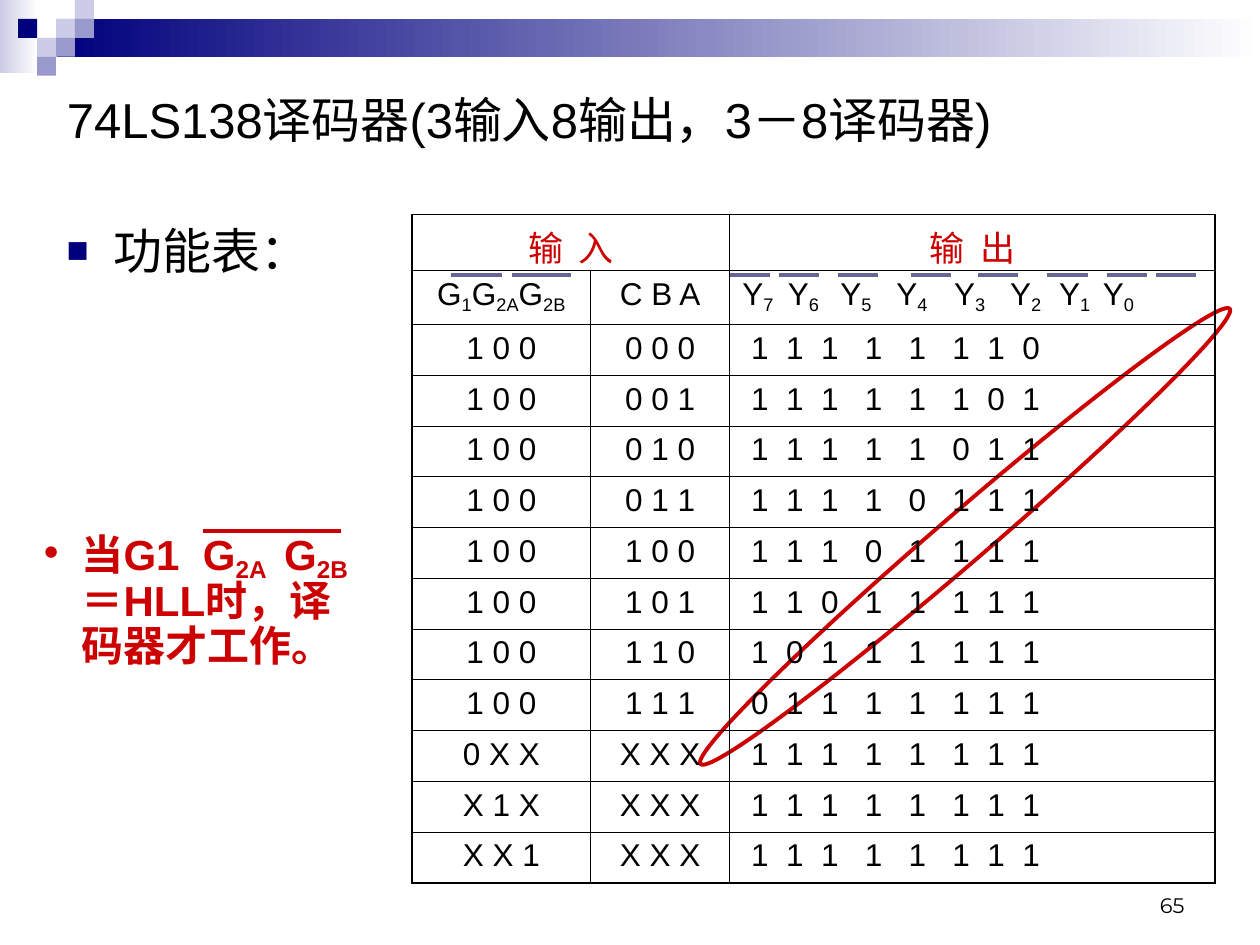
from lxml import etree
from pptx import Presentation
from pptx.dml.color import RGBColor
from pptx.enum.shapes import MSO_CONNECTOR, MSO_SHAPE
from pptx.enum.text import MSO_ANCHOR, PP_ALIGN
from pptx.oxml.ns import qn
from pptx.util import Pt

STRAIGHT = MSO_CONNECTOR.STRAIGHT
RECTANGLE, OVAL = MSO_SHAPE.RECTANGLE, MSO_SHAPE.OVAL
MIDDLE, BOTTOM = MSO_ANCHOR.MIDDLE, MSO_ANCHOR.BOTTOM
LEFT, CENTER, RIGHT = PP_ALIGN.LEFT, PP_ALIGN.CENTER, PP_ALIGN.RIGHT
BLACK, RED, NAVY, SLATE = "000000", "CC0000", "00007D", "666699"
PALE, LILAC, WHITE = "CCCCE6", "9999CC", "FFFFFF"
THIN, THICK = 0.45, 1.08
SIGNAL_TABS = [26, 56, 88, 121, 153, 181, 206]
LEVEL_TABS = [5, 25, 45, 70, 95, 120, 140, 160]


def color(value):
    return RGBColor.from_string(value)


def add_xml(parent, tag, **attributes):
    return etree.SubElement(parent, qn(tag), attributes)


def set_font(font, size, value=BLACK, name="Arial", bold=False):
    font.size, font.name, font.bold = Pt(size), name, bold
    font.color.rgb = color(value)


def add_spans(para, parts):
    for index, text in enumerate(parts):
        span = para.add_run()
        span.text = text
        if index % 2:
            span._r.get_or_add_rPr().set("baseline", "-20000")


def add_bullet(para, char, value, percent, indent):
    properties = para._p.get_or_add_pPr()
    properties.set("marL", str(Pt(indent)))
    properties.set("indent", str(-Pt(indent)))
    add_xml(add_xml(properties, "a:buClr"), "a:srgbClr", val=value)
    add_xml(properties, "a:buSzPct", val=str(percent * 1000))
    add_xml(properties, "a:buFont", typeface="Arial")
    add_xml(properties, "a:buChar", char=char)


def add_tabs(para, stops):
    tabs = add_xml(para._p.get_or_add_pPr(), "a:tabLst")
    for stop in stops:
        add_xml(tabs, "a:tab", pos=str(Pt(stop)), algn="l")


def add_block(page, left, top, width, height, fill, fade=None):
    block = page.shapes.add_shape(RECTANGLE, Pt(left), Pt(top), Pt(width), Pt(height))
    block.shadow.inherit = False
    block.line.fill.background()
    if fade:
        block.fill.gradient()
        block.fill.gradient_angle = 0
        for stop, value in zip(block.fill.gradient_stops, (fill, fade)):
            stop.color.rgb = color(value)
    else:
        block.fill.solid()
        block.fill.fore_color.rgb = color(fill)


def add_overbar(page, left, top, width, value):
    bar = page.shapes.add_connector(STRAIGHT, Pt(left), Pt(top), Pt(left + width), Pt(top))
    bar.line.color.rgb = color(value)
    bar.line.width = Pt(2.25)
    add_xml(bar._element.spPr, "a:effectLst")


def add_text_box(page, left, top, width, height):
    box = page.shapes.add_textbox(Pt(left), Pt(top), Pt(width), Pt(height))
    box.text_frame.word_wrap = True
    return box.text_frame


def add_banner(page, left, top, width):
    unit = 10.8
    add_block(page, left, top, 22, 42, PALE, WHITE)
    add_block(page, left + 3 * unit, top + unit, width - 3 * unit, 2 * unit, NAVY, WHITE)
    squares = [(2, 1, PALE), (3, 0, PALE), (3, 1, LILAC), (1, 2, PALE),
               (0, 1, NAVY), (2, 2, LILAC), (1, 3, LILAC)]
    for column, row, fill in squares:
        add_block(page, left + 10.4 + column * unit, top + row * unit, unit, unit, fill)


def add_title(page, left, top, width, height):
    title = page.shapes.title
    title.left, title.top, title.width, title.height = Pt(left), Pt(top), Pt(width), Pt(height)
    title.text_frame.vertical_anchor = MIDDLE
    title.text_frame.text = "74LS138译码器(3输入8输出，3－8译码器)"
    para = title.text_frame.paragraphs[0]
    para.alignment = LEFT
    set_font(para.font, 28)


def add_heading(page, left, top, width, height):
    para = add_text_box(page, left, top, width, height).paragraphs[0]
    para.text = "功能表："
    para.space_before = Pt(7)
    add_bullet(para, "■", NAVY, 75, 27)
    set_font(para.font, 28)


def add_note(page, left, top, width, height):
    for offset in (91, 130):
        add_overbar(page, left + offset, top + 4, 40, RED)
    frame = add_text_box(page, left, top, width, height)
    frame.margin_left = frame.margin_right = 0
    para = frame.paragraphs[0]
    add_spans(para, ["当G1  G", "2A ", " G", "2B", "＝HLL时，译码器才工作。"])
    para.line_spacing = 0.9
    para.space_after = Pt(7)
    add_bullet(para, "•", RED, 100, 21.6)
    set_font(para.font, 24, RED, bold=True)


def fill_cell(cell, parts, borders, size=18, value=BLACK, tabs=None):
    properties = cell._tc.get_or_add_tcPr()
    for side, width in zip("LRTB", borders):
        line = add_xml(properties, "a:ln" + side, w=str(Pt(width)))
        add_xml(add_xml(line, "a:solidFill"), "a:srgbClr", val=BLACK)
    cell.fill.background()
    para = cell.text_frame.paragraphs[0]
    add_spans(para, parts)
    para.alignment = LEFT if tabs else CENTER
    para.space_before = Pt(size / 4)
    if tabs:
        add_tabs(para, tabs)
    set_font(para.font, size, value)


def truth_rows():
    for code in range(11):
        levels = ["0" if bit == code else "1" for bit in range(7, -1, -1)]
        enable = "1 0 0" if code < 8 else ("0 X X", "X 1 X", "X X 1")[code - 8]
        select = " ".join(f"{code:03b}") if code < 8 else "X X X"
        yield [[enable], [select], ["\t" + "\t".join(levels)]]


def add_function_table(page, left, top, width, height):
    signals = ["Y", "7"]
    for number in range(6, -1, -1):
        signals += ["\tY", str(number)]
    rows = [[["输  入"], [], ["输  出"]],
            [["G", "1", "G", "2A", "G", "2B"], ["C B A"], signals], *truth_rows()]
    table = page.shapes.add_table(len(rows), 3, Pt(left), Pt(top), Pt(width), Pt(height)).table
    table.first_row = table.horz_banding = False
    for column, share in zip(table.columns, (102, 79.5, width - 181.5)):
        column.width = Pt(share)
    table.cell(0, 0).merge(table.cell(0, 1))
    last = len(rows) - 1
    for index, row in enumerate(rows):
        table.rows[index].height = Pt({0: 32, 1: 31}.get(index, 29))
        for place, parts in enumerate(row):
            borders = [THICK if edge else THIN for edge in
                       (place == 0, place == 2, index in (0, 10), index in (9, last))]
            if index == 0:
                fill_cell(table.cell(index, place), parts, borders, 20, RED)
            else:
                stops = SIGNAL_TABS if index == 1 else LEVEL_TABS
                fill_cell(table.cell(index, place), parts, borders,
                          tabs=stops if place == 2 else None)
    for offset, length in ((22.5, 29), (57, 34)):
        add_overbar(page, left + offset, top + 34.5, length, SLATE)
    for offset in (181.5, 209.5, 243.5, 285, 323.5, 363, 397, 425):
        add_overbar(page, left + offset, top + 34.5, 23, SLATE)


def add_diagonal_ring(page, left, top, width, height):
    ring = page.shapes.add_shape(OVAL, Pt(left), Pt(top), Pt(width), Pt(height))
    ring.shadow.inherit = False
    ring.rotation = 319.3
    ring.fill.background()
    ring.line.color.rgb = color(RED)
    ring.line.width = Pt(2.25)


def add_page_number(page, left, top, width, height):
    frame = add_text_box(page, left, top, width, height)
    frame.vertical_anchor = BOTTOM
    para = frame.paragraphs[0]
    para.text = "65"
    para.alignment = RIGHT
    set_font(para.font, 12, name="Montserrat")


deck = Presentation()
deck.slide_width, deck.slide_height = Pt(720), Pt(540)
page = deck.slides.add_slide(deck.slide_layouts[5])
add_banner(page, 0, 0, 720)
add_page_number(page, 516, 492, 168, 36)
add_title(page, 31, 37.5, 612, 60.5)
add_heading(page, 31, 122.5, 175.5, 51)
add_diagonal_ring(page, 352, 292.5, 399, 28)
add_function_table(page, 235.5, 122.5, 459, 382)
add_note(page, 25, 299.5, 181.5, 93)
deck.save("out.pptx")
